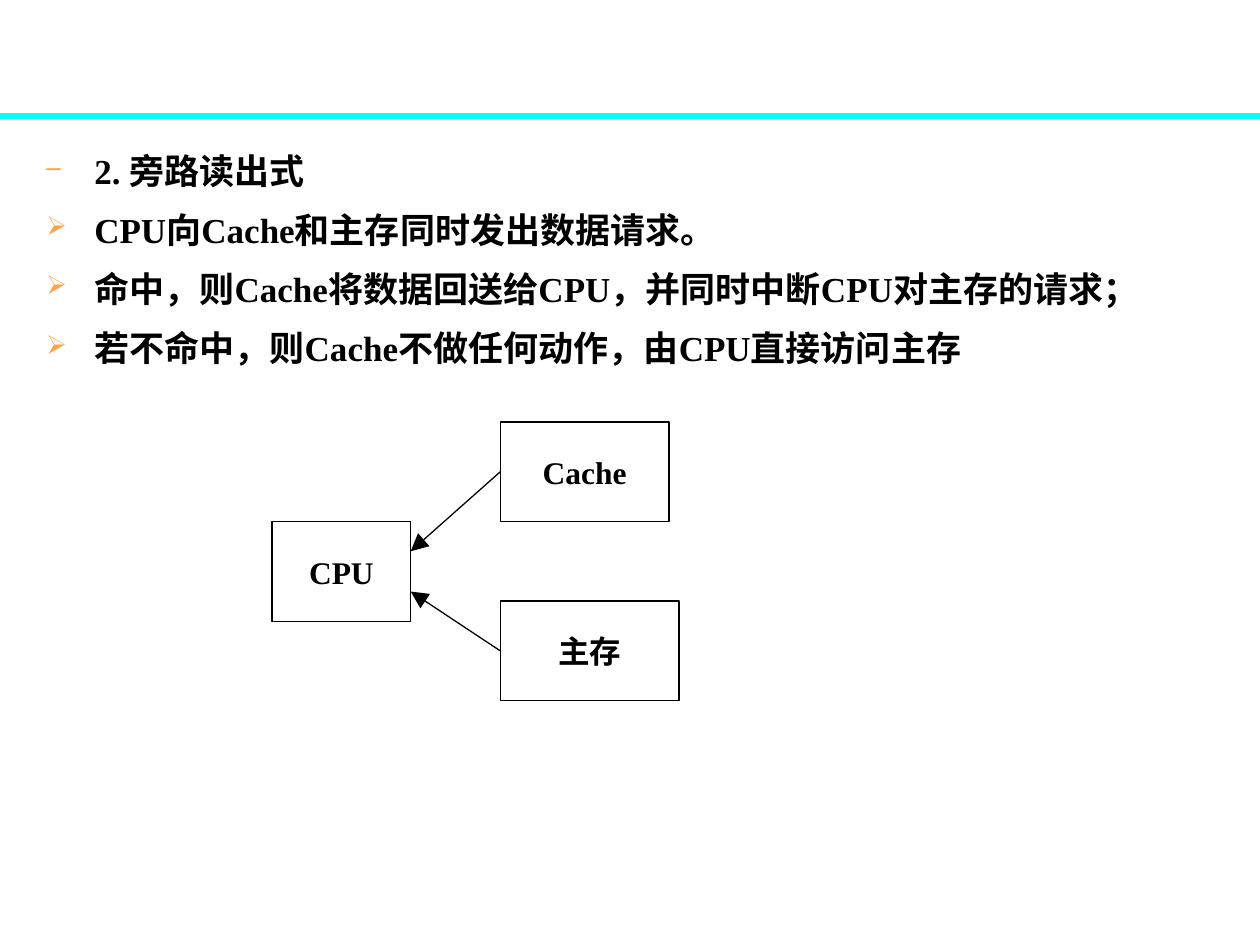
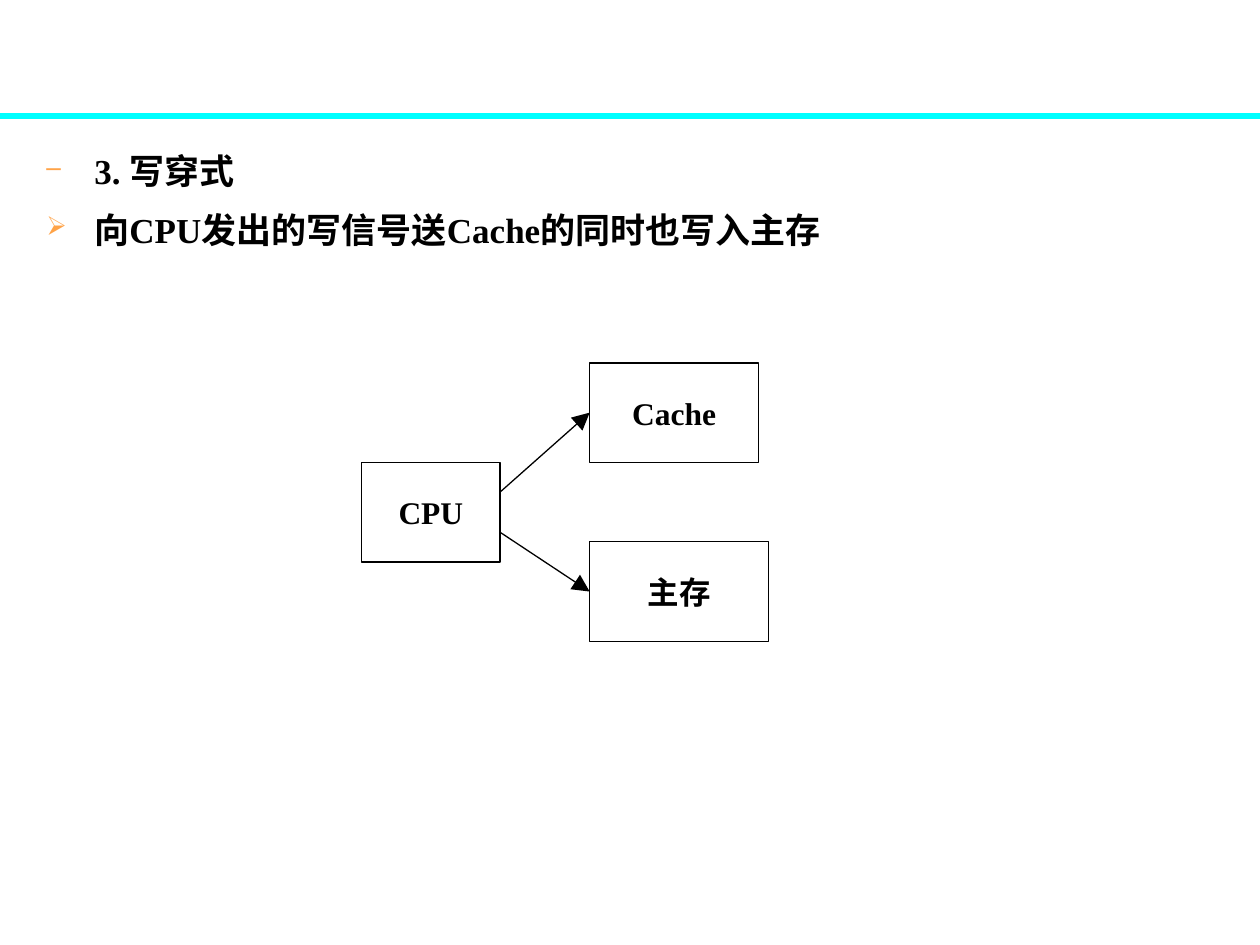
from dataclasses import dataclass

from lxml.etree import SubElement
from pptx import Presentation
from pptx.dml.color import RGBColor
from pptx.enum.shapes import MSO_CONNECTOR, MSO_SHAPE
from pptx.enum.text import MSO_ANCHOR as Anchor, PP_ALIGN as Align
from pptx.oxml.ns import qn
from pptx.util import Inches, Pt

LATIN, CJK = "Times New Roman", "Noto Sans CJK SC"
BLACK, CYAN, ORANGE = "000000", "00FFFF", "FFA347"
BLANK_LAYOUT = 6
LEFT_SIDE = 1
HANGING = Inches(0.38)
BOX_HEIGHT = 0.79
ARROW_SPREAD = 0.16  # distance of each arrow from the middle of the CPU side


@dataclass(frozen=True)
class Unit:
    """A box of the diagram, placed relative to the CPU box."""
    label: str
    dx: float
    dy: float
    width: float


CPU = Unit("CPU", 0, 0, 1.1)
MAIN_MEMORY = Unit("主存", 1.81, 0.63, 1.42)
CACHE = Unit("Cache", 1.81, -0.79, 1.34)


@dataclass(frozen=True)
class CacheMode:
    heading: str
    points: tuple[str, ...]
    text_height: float
    cpu_x: float
    cpu_y: float
    cpu_receives: bool


MODES = (
    CacheMode(
        "2. 旁路读出式",
        ("CPU向Cache和主存同时发出数据请求。",
         "命中，则Cache将数据回送给CPU，并同时中断CPU对主存的请求；",
         "若不命中，则Cache不做任何动作，由CPU直接访问主存"),
        2.13, 2.16, 4.14, True),
    CacheMode(
        "3. 写穿式",
        ("向CPU发出的写信号送Cache的同时也写入主存",),
        1.34, 2.87, 3.67, False),
)


def rgb(color: str) -> RGBColor:
    return RGBColor.from_string(color)


def add_bullet(paragraph, mark: str) -> None:
    """Give the paragraph a hanging indent and a small orange mark."""
    props = paragraph._p.get_or_add_pPr()
    props.set("marL", str(HANGING))
    props.set("indent", str(-HANGING))
    color = SubElement(props, qn("a:buClr"))
    SubElement(color, qn("a:srgbClr"), val=ORANGE)
    SubElement(props, qn("a:buSzPct"), val="75000")
    SubElement(props, qn("a:buChar"), char=mark)


def write(paragraph, text: str, *, size: float, color: str = BLACK,
          bold: bool = True, align=Align.LEFT, bullet: str = "",
          before: float = 0, spacing: float = 1.0) -> None:
    if bullet:
        add_bullet(paragraph, bullet)
    paragraph.alignment = align
    paragraph.line_spacing = spacing
    paragraph.space_before = Pt(before)
    run = paragraph.add_run()
    run.text = text
    font = run.font
    font.name, font.size, font.bold = LATIN, Pt(size), bold
    font.color.rgb = rgb(color)
    SubElement(font._element, qn("a:ea"), typeface=CJK)


def add_line(slide, start: tuple[float, float], end: tuple[float, float],
             color: str = BLACK, width: float = 0.75):
    line = slide.shapes.add_connector(
        MSO_CONNECTOR.STRAIGHT, *map(Inches, start + end))
    line.line.color.rgb = rgb(color)
    line.line.width = Pt(width)
    SubElement(line._element.spPr, qn("a:effectLst"))
    return line


def add_mode_text(slide, mode: CacheMode) -> None:
    box = slide.shapes.add_textbox(
        Inches(0.27), Inches(1.07), Inches(9.37), Inches(mode.text_height))
    frame = box.text_frame
    frame.word_wrap = True
    write(frame.paragraphs[0], mode.heading, size=20, bullet="–", spacing=1.2)
    for point in mode.points:
        write(frame.add_paragraph(), point, size=20, bullet="➢", before=5,
              spacing=1.2)


def add_unit(slide, unit: Unit, mode: CacheMode):
    box = slide.shapes.add_shape(
        MSO_SHAPE.RECTANGLE,
        Inches(mode.cpu_x + unit.dx), Inches(mode.cpu_y + unit.dy),
        Inches(unit.width), Inches(BOX_HEIGHT))
    box.shadow.inherit = False
    box.fill.background()
    box.line.color.rgb = rgb(BLACK)
    box.line.width = Pt(0.75)
    box.text_frame.vertical_anchor = Anchor.MIDDLE
    write(box.text_frame.paragraphs[0], unit.label, size=18,
          align=Align.CENTER)
    return box


def add_data_arrow(slide, unit: Unit, box, mode: CacheMode) -> None:
    """Link a memory box with the CPU, the head at the receiving end."""
    middle = mode.cpu_y + BOX_HEIGHT / 2
    spread = ARROW_SPREAD if unit.dy > 0 else -ARROW_SPREAD
    cpu_end = (mode.cpu_x + CPU.width, middle + spread)
    memory_end = (mode.cpu_x + unit.dx, middle + unit.dy)
    if mode.cpu_receives:
        arrow = add_line(slide, memory_end, cpu_end)
        arrow.begin_connect(box, LEFT_SIDE)
    else:
        arrow = add_line(slide, cpu_end, memory_end)
        arrow.end_connect(box, LEFT_SIDE)
    SubElement(arrow.line._get_or_add_ln(), qn("a:tailEnd"),
               type="triangle", w="lg", len="lg")


def add_mode_slide(deck, mode: CacheMode) -> None:
    slide = deck.slides.add_slide(deck.slide_layouts[BLANK_LAYOUT])
    add_line(slide, (0, 0.92), (10, 0.92), CYAN, 3)
    add_mode_text(slide, mode)
    add_unit(slide, CPU, mode)
    memories = [(unit, add_unit(slide, unit, mode))
                for unit in (MAIN_MEMORY, CACHE)]
    for unit, box in reversed(memories):
        add_data_arrow(slide, unit, box, mode)


def main() -> None:
    deck = Presentation()
    deck.slide_width, deck.slide_height = Inches(10), Inches(7.5)
    for mode in MODES:
        add_mode_slide(deck, mode)
    deck.save("out.pptx")


if __name__ == "__main__":
    main()
